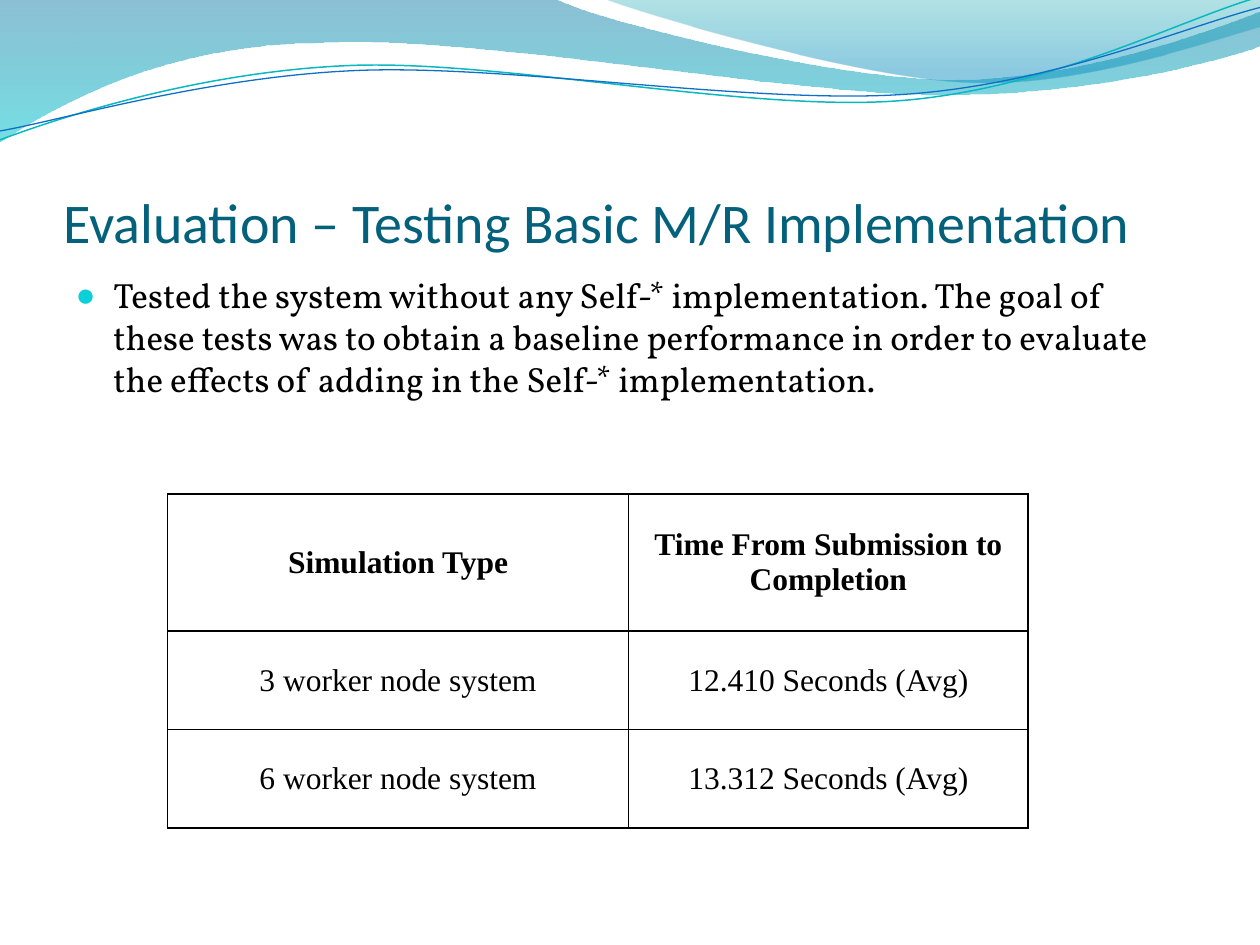
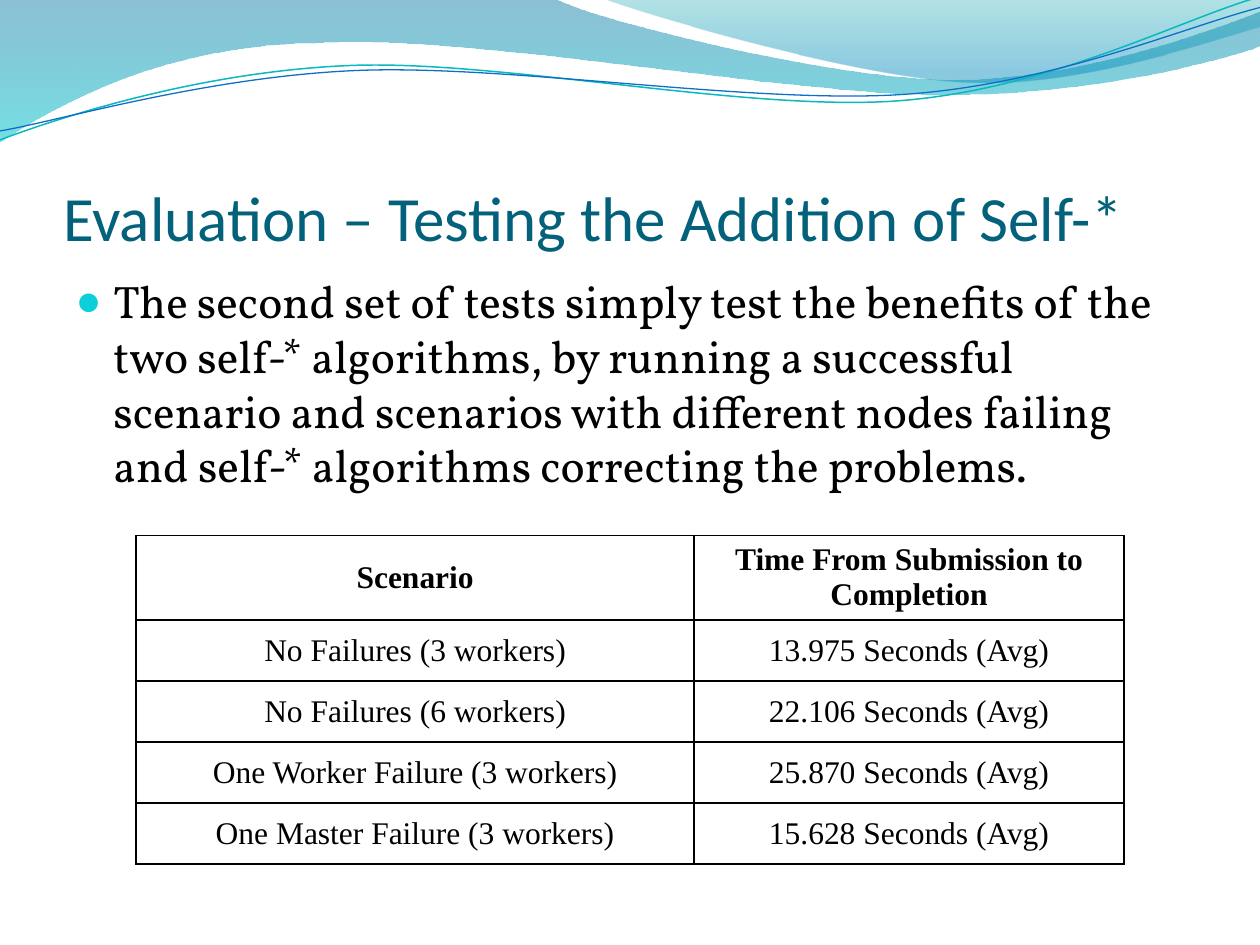
import math

import pptx
import pptx.dml.color
import pptx.enum.text
import pptx.oxml.ns
import pptx.util
from lxml import etree
from pptx.util import Inches

RGBColor = pptx.dml.color.RGBColor
Pt = pptx.util.Pt
qn = pptx.oxml.ns.qn

BLACK = RGBColor(0x00, 0x00, 0x00)
TITLE_TEAL = RGBColor(0x04, 0x61, 0x7B)
BULLET_CYAN = RGBColor(0x0B, 0xD0, 0xD9)
DEEP_BLUE = RGBColor(0x00, 0x74, 0xA1)
TURQUOISE = RGBColor(0x00, 0xC6, 0xCF)
SEA_GREEN = RGBColor(0x00, 0xA1, 0xA9)
SKY_BLUE = RGBColor(0x00, 0x8B, 0xBF)
LINE_TEAL = RGBColor(0x0A, 0xB8, 0xBF)
LINE_BLUE = RGBColor(0x0F, 0x6F, 0xC6)

CENTER = pptx.enum.text.PP_ALIGN.CENTER
LEFT = pptx.enum.text.PP_ALIGN.LEFT
MIDDLE = pptx.enum.text.MSO_ANCHOR.MIDDLE
BOTTOM = pptx.enum.text.MSO_ANCHOR.BOTTOM
TOP = pptx.enum.text.MSO_ANCHOR.TOP
NO_AUTOFIT = pptx.enum.text.MSO_AUTO_SIZE.NONE

TITLE_BOX = {"left": Inches(0.5), "top": Inches(0.77), "width": Inches(9), "height": Inches(1.25)}
BODY_BOX = {"left": Inches(0.5), "top": Inches(2.12), "width": Inches(9), "height": Inches(4.8)}
TITLE_FRAME = {"margin_left": 0, "margin_right": 0, "margin_top": Inches(0.05), "margin_bottom": 0,
               "vertical_anchor": BOTTOM, "word_wrap": True, "auto_size": NO_AUTOFIT}
BODY_FRAME = {"vertical_anchor": TOP, "word_wrap": True, "auto_size": NO_AUTOFIT}
CELL_FORMAT = {"margin_left": Inches(0.07), "margin_right": Inches(0.07),
               "margin_top": 0, "margin_bottom": 0, "vertical_anchor": MIDDLE}

WAVE_TILT = 357.3
FILLED_WAVES = [
    {"start": (0, -0.01),
     "segments": [(4.4, -0.01),
                  (4.76, 0.17, 6.64, 0.63, 7.58, 0.63),
                  (8.53, 0.63, 9.58, 0.26, 10, 0.09),
                  (10.01, 0.36),
                  (9.83, 0.44, 8.7, 0.76, 7.46, 0.75),
                  (6.22, 0.75, 3.82, 0.28, 2.57, 0.34),
                  (1.29, 0.35, 0.46, 0.83, -0.01, 1.13),
                  (0, -0.01)],
     "stops": [(0, DEEP_BLUE, 45), (1, TURQUOISE, 55)]},
    {"start": (4.79, -0.01),
     "segments": [(5.09, 0.11, 6.82, 0.62, 7.69, 0.65),
                  (8.56, 0.69, 9.61, 0.32, 10, 0.21),
                  (10, 0),
                  (4.79, -0.01)],
     "stops": [(0, SEA_GREEN, 30), (0.8, SKY_BLUE, 45)]},
]
LINE_WAVES = [
    {"start": (0, 1.11),
     "segments": [(0.48, 0.93, 1.58, 0.57, 2.77, 0.52),
                  (3.95, 0.47, 5.93, 0.89, 7.13, 0.8),
                  (8.33, 0.71, 9.38, 0.15, 9.98, -0.02)],
     "pivot": (4.99, 0.58), "color": LINE_TEAL, "width": 0.85},
    {"start": (0, 1.04),
     "segments": [(0.47, 0.96, 1.64, 0.61, 2.83, 0.56),
                  (4.03, 0.51, 5.97, 0.83, 7.17, 0.75),
                  (8.36, 0.67, 9.41, 0.21, 10, 0.06)],
     "pivot": (5, 0.59), "color": LINE_BLUE, "width": 0.75},
]

EVALUATIONS = [
    {"title": "Evaluation – Testing Basic M/R Implementation", "title_size": 32,
     "body": "Tested the system without any Self-* implementation. The goal of these tests was "
             "to obtain a baseline performance in order to evaluate the effects of adding in "
             "the Self-* implementation.",
     "body_size": 20, "table_at": (1.33, 3.92),
     "columns": [3.66, 3.17], "header_height": 1.09, "table_height": 2.65,
     "rows": [("Simulation Type", "Time From Submission to Completion"),
              ("3 worker node system", "12.410 Seconds (Avg)"),
              ("6 worker node system", "13.312 Seconds (Avg)")]},
    {"title": "Evaluation – Testing the Addition of Self-*", "title_size": 36,
     "body": "The second set of tests simply test the benefits of the two self-* algorithms, "
             "by running a successful scenario and scenarios with different nodes failing and "
             "self-* algorithms correcting the problems.",
     "body_size": 26, "table_at": (1.08, 4.25),
     "columns": [4.43, 3.41], "header_height": 0.67, "table_height": 2.61,
     "rows": [("Scenario", "Time From Submission to Completion"),
              ("No Failures (3 workers)", "13.975 Seconds (Avg)"),
              ("No Failures (6 workers)", "22.106 Seconds (Avg)"),
              ("One Worker Failure (3 workers)", "25.870 Seconds (Avg)"),
              ("One Master Failure (3 workers)", "15.628 Seconds (Avg)")]},
]


def write_text(text_frame, text, alignment, font_name, size, color, bold=False):
    text_frame.text = text
    paragraph = text_frame.paragraphs[0]
    paragraph.alignment = alignment
    font = paragraph.runs[0].font
    for name, value in {"name": font_name, "size": Pt(size), "bold": bold}.items():
        setattr(font, name, value)
    font.color.rgb = color
    return paragraph


def draw_wave(shapes, wave, closed, rotation=0):
    pivot_x, pivot_y = wave.get("pivot", (0, 0))
    cosine, sine = math.cos(math.radians(-rotation)), math.sin(math.radians(-rotation))
    points = [wave["start"]]
    for segment in wave["segments"]:
        points.extend(zip(segment[::2], segment[1::2]))
    points = [(Inches(pivot_x + (x - pivot_x) * cosine - (y - pivot_y) * sine),
               Inches(pivot_y + (x - pivot_x) * sine + (y - pivot_y) * cosine))
              for x, y in points]
    builder = shapes.build_freeform(*points[0])
    builder.add_line_segments(points[1:], close=closed)
    shape = builder.convert_to_shape()
    shape.rotation = rotation
    shape.shadow.inherit = False
    lines = iter(shape.element.xpath(".//a:path/a:lnTo"))
    for segment in wave["segments"]:
        parts = [next(lines) for index in range(len(segment) // 2)]
        if len(parts) == 3:
            curve = etree.Element(qn("a:cubicBezTo"))
            parts[0].addprevious(curve)
            for part in parts:
                curve.append(part[0])
                part.getparent().remove(part)
    return shape


presentation = pptx.Presentation()
presentation.slide_width = Inches(10)
presentation.slide_height = Inches(7.5)
layout = presentation.slide_layouts[1]
slides = [presentation.slides.add_slide(layout) for evaluation in EVALUATIONS]

waves = []
for wave in FILLED_WAVES:
    shape = draw_wave(slides[0].shapes, wave, True)
    shape.line.fill.background()
    shape.fill.gradient()
    shape.fill.gradient_angle = 270
    for stop, (position, color, opacity) in zip(shape.fill.gradient_stops, wave["stops"]):
        stop.position = position
        stop.color.rgb = color
    for color_element, (position, color, opacity) in zip(
            shape.element.xpath(".//a:gs/a:srgbClr"), wave["stops"]):
        etree.SubElement(color_element, qn("a:alpha"), val=str(opacity * 1000))
    waves.append(shape)
for wave in LINE_WAVES:
    shape = draw_wave(slides[0].shapes, wave, False, WAVE_TILT)
    shape.fill.background()
    shape.line.color.rgb = wave["color"]
    shape.line.width = Pt(wave["width"])
    waves.append(shape)

master_tree = presentation.slide_master.shapes.element
for index, shape in enumerate(waves):
    shape.element.xpath(".//p:cNvPr")[0].set("id", str(100 + index))
    master_tree.insert(2 + index, shape.element)

for slide, evaluation in zip(slides, EVALUATIONS):
    title = slide.shapes.title
    body = slide.placeholders[1]
    for placeholder, box, frame in ((title, TITLE_BOX, TITLE_FRAME), (body, BODY_BOX, BODY_FRAME)):
        for name, value in box.items():
            setattr(placeholder, name, value)
        for name, value in frame.items():
            setattr(placeholder.text_frame, name, value)
    write_text(title.text_frame, evaluation["title"], LEFT, "Calibri",
               evaluation["title_size"], TITLE_TEAL)
    write_text(body.text_frame, evaluation["body"], LEFT, "Vollkorn",
               evaluation["body_size"], BLACK)
    properties = body.element.xpath(".//a:pPr")[0]
    properties.set("marL", str(Inches(0.3)))
    properties.set("indent", str(Inches(-0.3)))
    bullet_color = etree.SubElement(properties, qn("a:buClr"))
    etree.SubElement(bullet_color, qn("a:srgbClr"), val=str(BULLET_CYAN))
    etree.SubElement(properties, qn("a:buSzPct"), val="95000")
    etree.SubElement(properties, qn("a:buFont"), typeface="Arial")
    etree.SubElement(properties, qn("a:buChar"), char="●")

    rows, columns = evaluation["rows"], evaluation["columns"]
    header_height, table_height = evaluation["header_height"], evaluation["table_height"]
    row_height = (table_height - header_height) / (len(rows) - 1)
    left, top = evaluation["table_at"]
    table_frame = slide.shapes.add_table(len(rows), len(columns), Inches(left), Inches(top),
                                         Inches(sum(columns)), Inches(table_height))
    table = table_frame.table
    table.first_row = False
    table.horz_banding = False
    for column, width in zip(table.columns, columns):
        column.width = Inches(width)
    for row_index, row in enumerate(table.rows):
        is_header = row_index == 0
        row.height = Inches(header_height if is_header else row_height)
        for cell, text in zip(row.cells, rows[row_index]):
            for name, value in CELL_FORMAT.items():
                setattr(cell, name, value)
            paragraph = write_text(cell.text_frame, text, CENTER, "Times New Roman", 18,
                                   BLACK, is_header)
            paragraph.space_after = Pt(6)
            cell.fill.background()
    for cell_properties in table_frame.element.xpath(".//a:tcPr"):
        for index, side in enumerate(("a:lnL", "a:lnR", "a:lnT", "a:lnB")):
            border = etree.Element(qn(side), w=str(Pt(1)))
            border_fill = etree.SubElement(border, qn("a:solidFill"))
            etree.SubElement(border_fill, qn("a:srgbClr"), val=str(BLACK))
            cell_properties.insert(index, border)

presentation.save("out.pptx")
